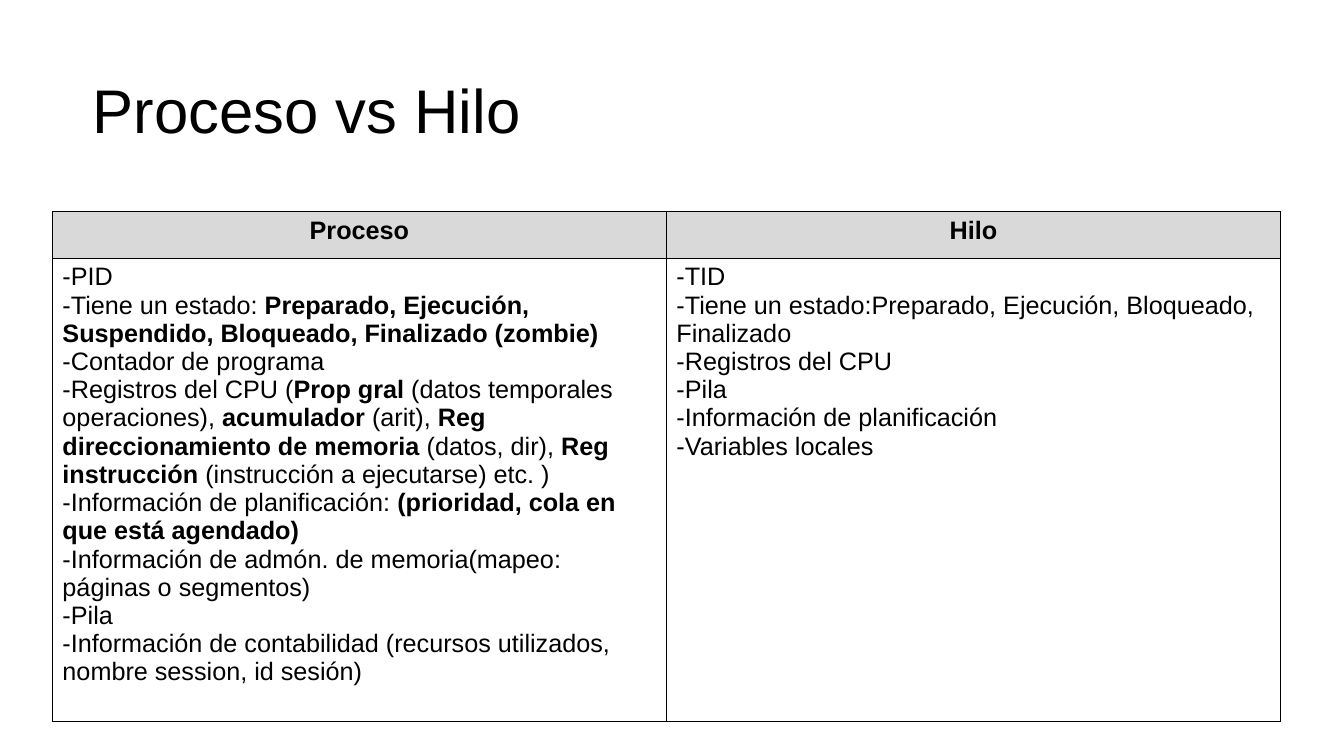
from pptx import Presentation
from pptx.dml.color import RGBColor
from pptx.enum.text import MSO_ANCHOR, MSO_AUTO_SIZE, PP_ALIGN
from pptx.oxml import parse_xml
from pptx.oxml.ns import nsdecls
from pptx.util import Inches, Pt

HEADERS = ["Proceso", "Hilo"]
PROCESO = [
    "-PID",
    "-Tiene un estado: *Preparado, Ejecución, Suspendido, Bloqueado, Finalizado (zombie)*",
    "-Contador de programa",
    "-Registros del CPU (*Prop gral* (datos temporales operaciones), *acumulador* (arit), "
    "*Reg direccionamiento de memoria* (datos, dir), "
    "*Reg instrucción* (instrucción a ejecutarse) etc. )",
    "-Información de planificación: *(prioridad, cola en que está agendado)*",
    "-Información de admón. de memoria(mapeo: páginas o segmentos)",
    "-Pila",
    "-Información de contabilidad (recursos utilizados, nombre session, id sesión)",
]
HILO = [
    "-TID",
    "-Tiene un estado:Preparado, Ejecución, Bloqueado, Finalizado",
    "-Registros del CPU",
    "-Pila",
    "-Información de planificación",
    "-Variables locales",
]


def rgb(color):
    return RGBColor.from_string(color)


def assign(obj, values):
    for name, value in values.items():
        setattr(obj, name, value)


class Deck:
    font = "Arial"
    ink = "000000"
    paper = "FFFFFF"
    header = "D9D9D9"
    border = 0.5

    def __init__(self, width, height):
        self.prs = Presentation()
        assign(self.prs, {"slide_width": Inches(width), "slide_height": Inches(height)})
        self.s = self.prs.slides.add_slide(self.prs.slide_layouts[5])

    def across(self, percent):
        return round(self.prs.slide_width * percent / 100)

    def down(self, percent):
        return round(self.prs.slide_height * percent / 100)

    def box(self, left, top, width, height):
        return {"left": self.across(left), "top": self.down(top),
                "width": self.across(width), "height": self.down(height)}

    def text(self, tf, lines, size, align=PP_ALIGN.LEFT, spacing=1.0):
        for i, line in enumerate(lines):
            p = tf.add_paragraph() if i else tf.paragraphs[0]
            assign(p, {"alignment": align, "line_spacing": spacing})
            for j, part in enumerate(line.split("*")):
                if part:
                    r = p.add_run()
                    r.text = part
                    assign(r.font, {"name": self.font, "size": Pt(size), "bold": j % 2 == 1})
                    r.font.color.rgb = rgb(self.ink)

    def title(self, title, place):
        sp = self.s.shapes.title
        assign(sp, self.box(*place))
        tf = sp.text_frame
        assign(tf, {"margin_left": 0, "margin_right": 0, "margin_top": 0, "margin_bottom": 0,
                    "word_wrap": True, "auto_size": MSO_AUTO_SIZE.NONE,
                    "vertical_anchor": MSO_ANCHOR.MIDDLE})
        self.text(tf, [title], 44, spacing=0.9)

    def cell(self, cell, lines, fill, align):
        cell.fill.solid()
        cell.fill.fore_color.rgb = rgb(fill)
        self.text(cell.text_frame, lines, 18, align)
        tcPr = cell._tc.get_or_add_tcPr()
        for i, side in enumerate("LRTB"):
            tcPr.insert(i, parse_xml(
                f'<a:ln{side} {nsdecls("a")} w="{Pt(self.border)}"><a:solidFill>'
                f'<a:srgbClr val="{self.ink}"/></a:solidFill></a:ln{side}>'))

    def table(self, headers, bodies, place, heights):
        frame = self.s.shapes.add_table(2, len(headers), **self.box(*place))
        tbl = frame.table
        assign(tbl, {"first_row": False, "horz_banding": False})
        for row, height in zip(tbl.rows, heights):
            row.height = self.down(height)
        for i, (header, body) in enumerate(zip(headers, bodies)):
            self.cell(tbl.cell(0, i), [f"*{header}*"], self.header, PP_ALIGN.CENTER)
            self.cell(tbl.cell(1, i), body, self.paper, PP_ALIGN.LEFT)


def main():
    deck = Deck(13.33, 7.5)
    deck.title("Proceso vs Hilo", (6.9, 5.33, 86.27, 19.33))
    deck.table(HEADERS, [PROCESO, HILO], (3.9, 28, 91.37, 67.46), (6.13, 61.33))
    deck.prs.save("out.pptx")


if __name__ == "__main__":
    main()
